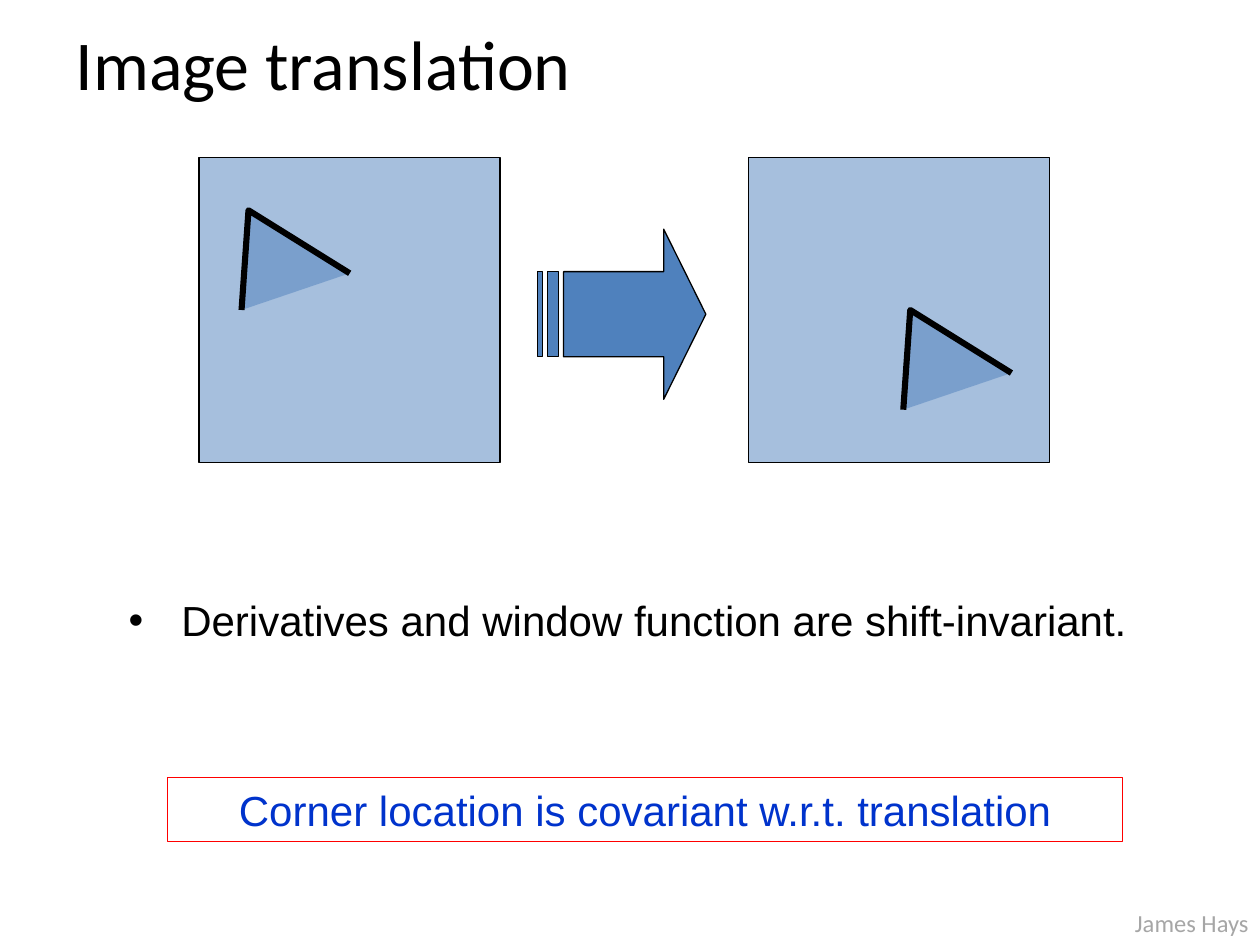
from lxml.etree import SubElement
from pptx import Presentation
from pptx.dml.color import RGBColor
from pptx.enum.shapes import MSO_SHAPE
from pptx.enum.text import MSO_ANCHOR, MSO_AUTO_SIZE, PP_ALIGN
from pptx.oxml.ns import qn
from pptx.util import Cm, Pt

COLORS = {"black": "000000", "blue": "4F81BD", "red": "FF0000",
          "link": "0033CC", "grey": "A6A6A6"}

# Content: text and boxes (left, top, width, height) in cm
TITLE = ("Image translation", (1.27, 0, 22.86, 2.54))
POINTS = (["Derivatives and window function are shift-invariant."],
          (2.34, 11.86, 21.39, 1.3))
CONCLUSION = ("Corner location is covariant w.r.t. translation",
              (3.38, 15.67, 19.25, 1.3))
CREDIT = ("James Hays", (22.63, 18.19, 2.92, 0.86))
ARROW = (10.83, 4.62, 3.4, 3.43)

WINDOW_TOP, WINDOW_SIZE = 3.18, (6.07, 6.15)
WINDOWS = [  # window left, corner offset inside the window
    (4.01, (0.86, 1.06)),
    (15.09, (3.12, 3.07)),
]
CORNER = [(0, 2.01), (0.14, 0), (2.18, 1.27)]
BULLET_INDENT = 1.06


def rgb(name):
    return RGBColor.from_string(COLORS[name])


def cm_box(box):
    return [Cm(v) for v in box]


def place(sp, box):
    sp.left, sp.top, sp.width, sp.height = cm_box(box)


def write(sp, lines, size=24, font="Arial", color="black",
          align=PP_ALIGN.LEFT, anchor=MSO_ANCHOR.TOP, wrap=True, bullet=False):
    tf = sp.text_frame
    tf.word_wrap = wrap
    tf.auto_size = MSO_AUTO_SIZE.NONE
    tf.vertical_anchor = anchor
    for i, line in enumerate(lines):
        p = tf.paragraphs[0] if i == 0 else tf.add_paragraph()
        p.alignment = align
        p.space_before = Pt(0)
        if bullet:
            pPr = p._p.get_or_add_pPr()
            pPr.set("marL", str(Cm(BULLET_INDENT)))
            pPr.set("indent", str(-Cm(BULLET_INDENT)))
            SubElement(pPr, qn("a:buFont"), typeface="Arial")
            SubElement(pPr, qn("a:buChar"), char="•")
        r = p.add_run()
        r.text = line
        r.font.size = Pt(size)
        r.font.name = font
        r.font.color.rgb = rgb(color)


def paint(sp, fill=None, line="black", width=0.75, alpha=None):
    """Fill and outline a shape; alpha is the opacity in percent."""
    sp.shadow.inherit = False
    if fill:
        sp.fill.solid()
        sp.fill.fore_color.rgb = rgb(fill)
    else:
        sp.fill.background()
    if alpha:
        clr = sp._element.spPr.find(qn("a:solidFill")).find(qn("a:srgbClr"))
        SubElement(clr, qn("a:alpha"), val=str(alpha * 1000))
    sp.line.color.rgb = rgb(line)
    sp.line.width = Pt(width)


def add_window(shapes, left, offset):
    """Draw an image window with a corner at the given offset."""
    window = shapes.add_shape(
        MSO_SHAPE.RECTANGLE, *cm_box((left, WINDOW_TOP, *WINDOW_SIZE)))
    paint(window, "blue", alpha=50)
    points = [(Cm(left + offset[0] + x), Cm(WINDOW_TOP + offset[1] + y))
              for x, y in CORNER]
    builder = shapes.build_freeform(*points[0])
    builder.add_line_segments(points[1:], close=False)
    paint(builder.convert_to_shape(), "blue", width=3.5, alpha=50)


def main():
    prs = Presentation()
    prs.slide_width, prs.slide_height = Cm(25.4), Cm(19.05)
    slide = prs.slides.add_slide(prs.slide_layouts[1])
    shapes = slide.shapes

    text, box = TITLE
    place(shapes.title, box)
    write(shapes.title, [text], size=40, font="Calibri",
          anchor=MSO_ANCHOR.MIDDLE)

    lines, box = POINTS
    body = slide.placeholders[1]
    place(body, box)
    write(body, lines, bullet=True)

    for left, offset in WINDOWS:
        add_window(shapes, left, offset)

    arrow = shapes.add_shape(MSO_SHAPE.STRIPED_RIGHT_ARROW, *cm_box(ARROW))
    arrow.adjustments[0], arrow.adjustments[1] = 0.5, 0.25
    paint(arrow, "blue")

    text, box = CONCLUSION
    conclusion = shapes.add_shape(MSO_SHAPE.RECTANGLE, *cm_box(box))
    paint(conclusion, line="red")
    write(conclusion, [text], color="link", align=PP_ALIGN.CENTER,
          anchor=MSO_ANCHOR.MIDDLE)

    text, box = CREDIT
    credit = shapes.add_textbox(*cm_box(box))
    write(credit, [text], size=14, font="Calibri", color="grey", wrap=False)

    prs.save("out.pptx")


if __name__ == "__main__":
    main()
